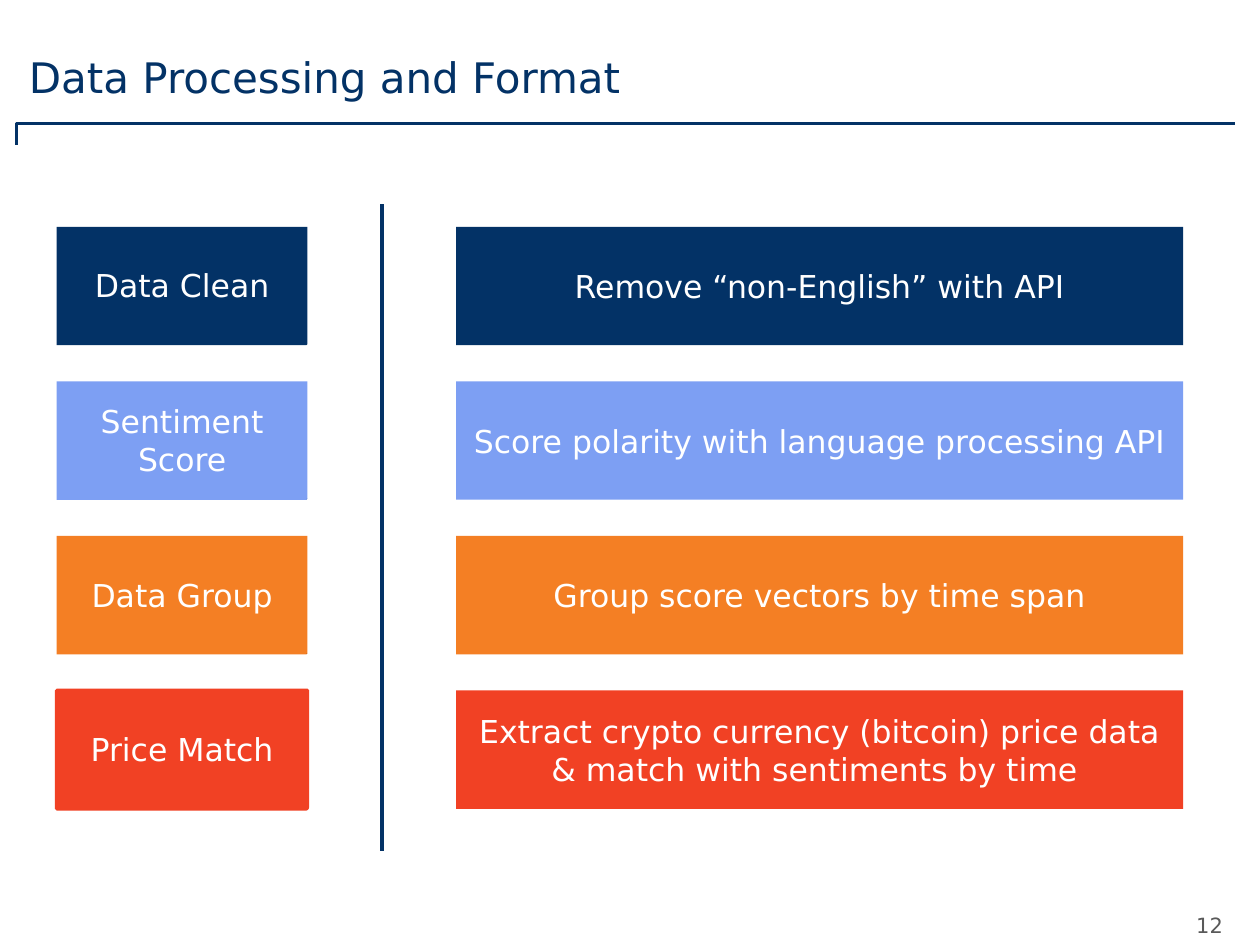
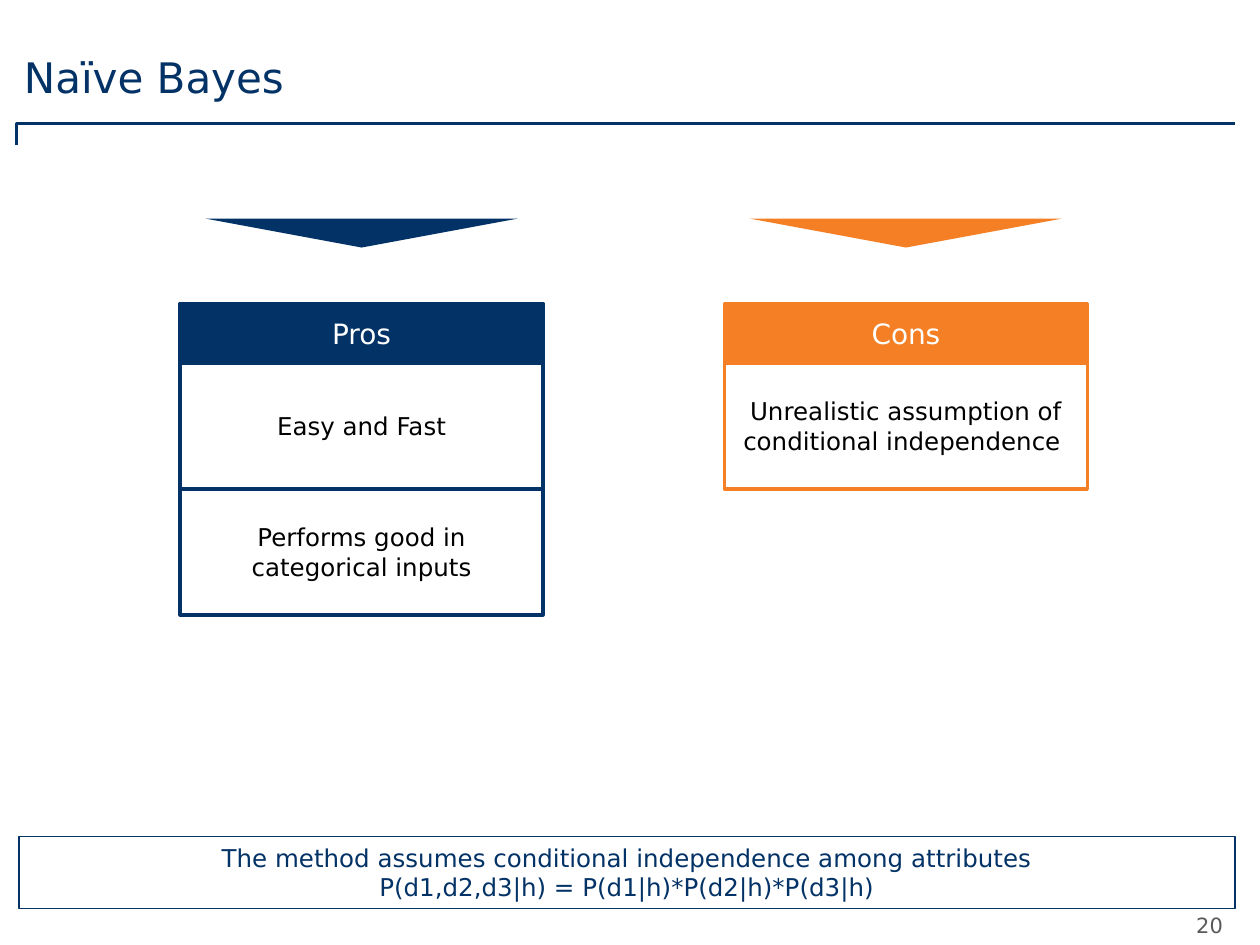
from dataclasses import dataclass
from lxml.etree import SubElement
from pptx import Presentation
from pptx.dml.color import RGBColor
from pptx.enum.shapes import MSO_CONNECTOR, MSO_SHAPE
from pptx.enum.text import MSO_ANCHOR, PP_ALIGN
from pptx.oxml.ns import qn
from pptx.util import Inches, Pt


@dataclass(frozen=True)
class Theme:
    font: str = "DejaVu Sans"
    navy: str = "033266"
    sky: str = "7D9FF3"
    orange: str = "F47F24"
    red: str = "F14124"
    white: str = "FFFFFF"
    black: str = "000000"
    gray: str = "595959"
    title: int = 24
    step: int = 18
    head: int = 16
    body: int = 14
    page: int = 12


T = Theme()

# Content: step, what it does, fill, outline width
STEPS = [
    ("Data Clean", "Remove “non-English” with API", T.navy, 0),
    ("Sentiment Score", "Score polarity with language processing API", T.sky, 0),
    ("Data Group", "Group score vectors by time span", T.orange, 0),
    ("Price Match", "Extract crypto currency (bitcoin) price data "
     "& match with sentiments by time ", T.red, 2),
]
SIDES = [
    ("Pros", ["Easy and Fast", "Performs good in categorical inputs"], T.navy),
    ("Cons", ["Unrealistic assumption of conditional independence "], T.orange),
]
NOTE = ("The method assumes conditional independence among attributes\n"
        "P(d1,d2,d3|h) = P(d1|h)*P(d2|h)*P(d3|h)")


def color(code):
    return RGBColor.from_string(code)


def write(shape, text, size, ink, align=PP_ALIGN.CENTER, anchor=MSO_ANCHOR.MIDDLE):
    frame = shape.text_frame
    frame.word_wrap = True
    frame.vertical_anchor = anchor
    frame.text = text
    for para in frame.paragraphs:
        para.alignment = align
        for run in para.runs:
            run.font.name = T.font
            run.font.size = Pt(size)
            run.font.color.rgb = color(ink)


def paint(shape, fill=None, edge=None, width=0):
    shape.shadow.inherit = False
    if fill:
        shape.fill.solid()
        shape.fill.fore_color.rgb = color(fill)
    else:
        shape.fill.background()
    if width:
        shape.line.color.rgb = color(edge)
        shape.line.width = Pt(width)
    else:
        shape.line.fill.background()


def block(slide, at, fill=None, edge=None, width=0, kind=MSO_SHAPE.RECTANGLE):
    shape = slide.shapes.add_shape(kind, *map(Inches, at))
    paint(shape, fill, edge, width)
    return shape


def adjust(shape, ratio):
    """Set the one guide of a preset, also where the library lists none."""
    guides = shape._element.spPr.find(qn("a:prstGeom")).find(qn("a:avLst"))
    for old in list(guides):
        guides.remove(old)
    SubElement(guides, qn("a:gd"), name="adj", fmla=f"val {round(ratio * 100000)}")


def start(deck, title, left, page):
    """Add a slide with the shared rule, page number and title."""
    slide = deck.slides.add_slide(deck.slide_layouts[6])
    rule = slide.shapes.build_freeform(Inches(0.13), Inches(1.15))
    rule.add_line_segments([(Inches(0.13), Inches(0.98)),
                            (Inches(9.8), Inches(0.98))], close=False)
    paint(rule.convert_to_shape(), edge=T.navy, width=1.5)
    write(block(slide, (9.31, 7.19, 0.58, 0.29), T.white), page, T.page, T.gray,
          anchor=MSO_ANCHOR.TOP)
    box = slide.shapes.add_textbox(*map(Inches, (left, 0.26, 7.9, 0.69)))
    write(box, title, T.title, T.navy, PP_ALIGN.LEFT)
    frame = box.text_frame
    frame.margin_left = frame.margin_right = 0
    frame.margin_top = frame.margin_bottom = 0
    return slide


def draw_steps(deck):
    slide = start(deck, "Data Processing and Format", 0.23, "12")
    # Divider
    x = Inches(3.03)
    line = slide.shapes.add_connector(MSO_CONNECTOR.STRAIGHT,
                                      x, Inches(1.62), x, Inches(6.75))
    line.line.color.rgb = color(T.navy)
    line.line.width = Pt(2)
    SubElement(line._element.spPr, qn("a:effectLst"))
    # One row per step
    top, last, high = 1.8, 5.48, 0.94
    pitch = (last - top) / (len(STEPS) - 1)
    for i, (name, task, fill, width) in enumerate(STEPS):
        y = top + i * pitch
        label = block(slide, (0.45, y, 1.99, high), fill, fill, width,
                      MSO_SHAPE.FOLDED_CORNER)
        adjust(label, 0.01)
        write(label, name, T.step, T.white)
        write(block(slide, (3.62, y, 5.77, high), fill), task, T.step, T.white)


def draw_sides(deck):
    slide = start(deck, "Naïve Bayes", 0.19, "20")
    # Note along the foot
    note = block(slide, (0.15, 6.64, 9.65, 0.57), edge=T.navy, width=1)
    write(note, NOTE, T.body, T.navy, anchor=MSO_ANCHOR.TOP)
    # One column per side
    left, pitch, wide, top, cap, high = 1.43, 4.32, 2.88, 2.41, 0.47, 1
    thick, span, mid = 0.23, 2.48, 1.85
    for i, (name, points, tint) in enumerate(SIDES):
        x = left + i * pitch
        write(block(slide, (x, top, wide, cap), tint, tint, 2),
              name, T.head, T.white)
        for j, point in enumerate(points):
            cell = block(slide, (x, top + cap + j * high, wide, high),
                         T.white, tint, 2)
            write(cell, point, T.body, T.black)
        # Pointer, turned to face down
        tip = block(slide, (x + (wide - thick) / 2, mid - span / 2, thick, span),
                    tint, kind=MSO_SHAPE.PENTAGON)
        adjust(tip, 1)
        tip.rotation = 90


def main():
    deck = Presentation()
    deck.slide_width, deck.slide_height = Inches(10), Inches(7.5)
    draw_steps(deck)
    draw_sides(deck)
    deck.save("out.pptx")


if __name__ == "__main__":
    main()
